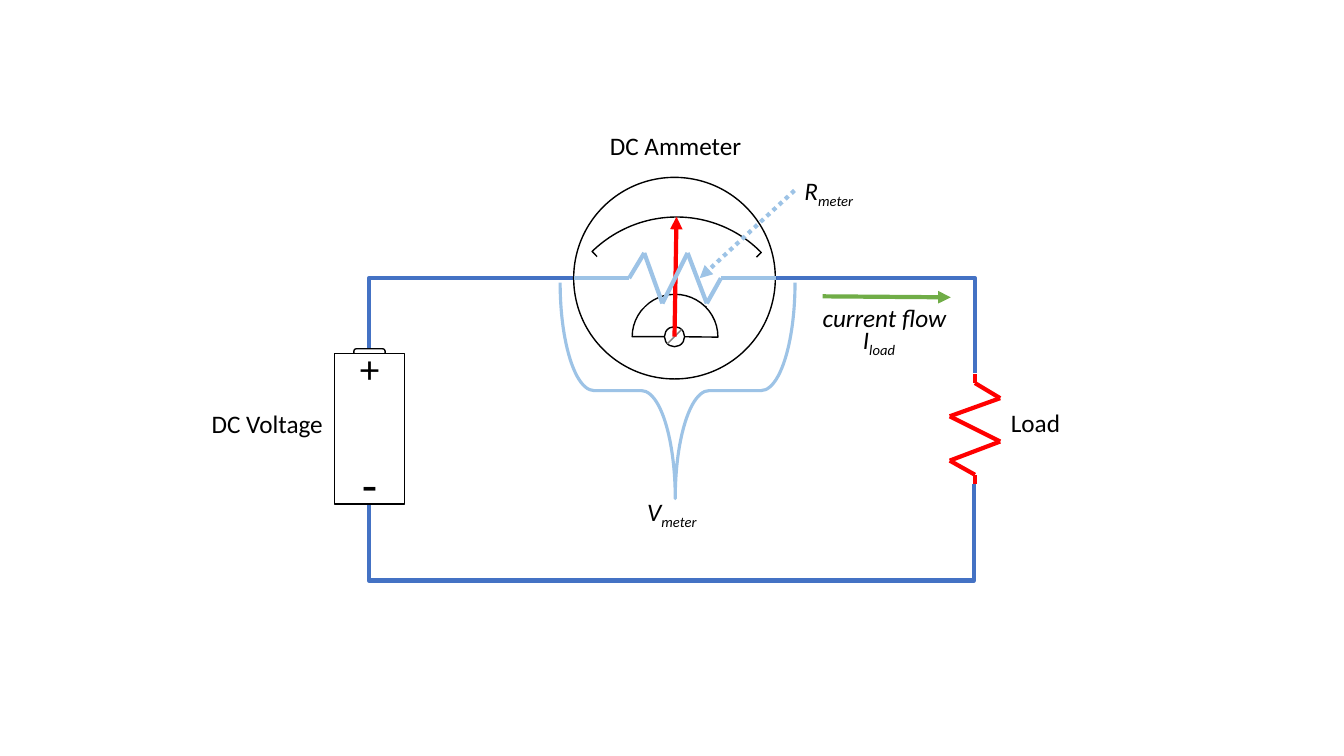
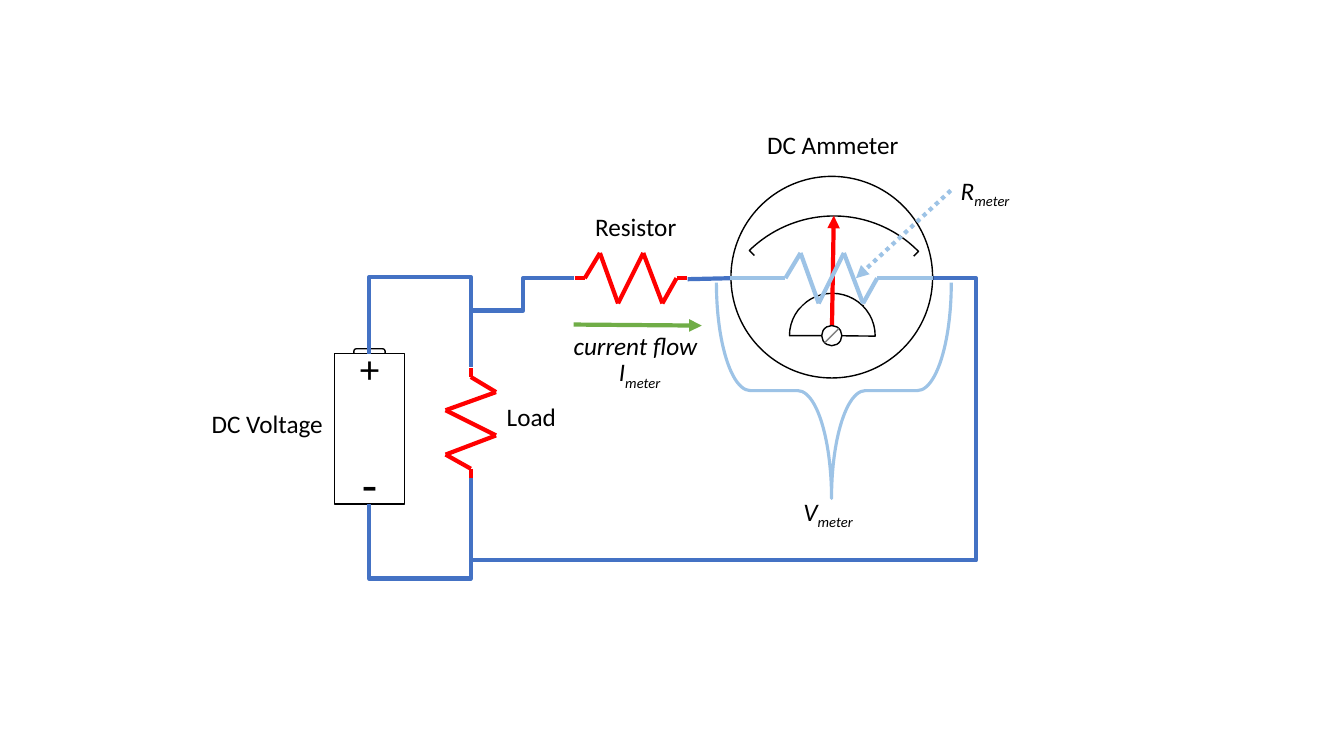
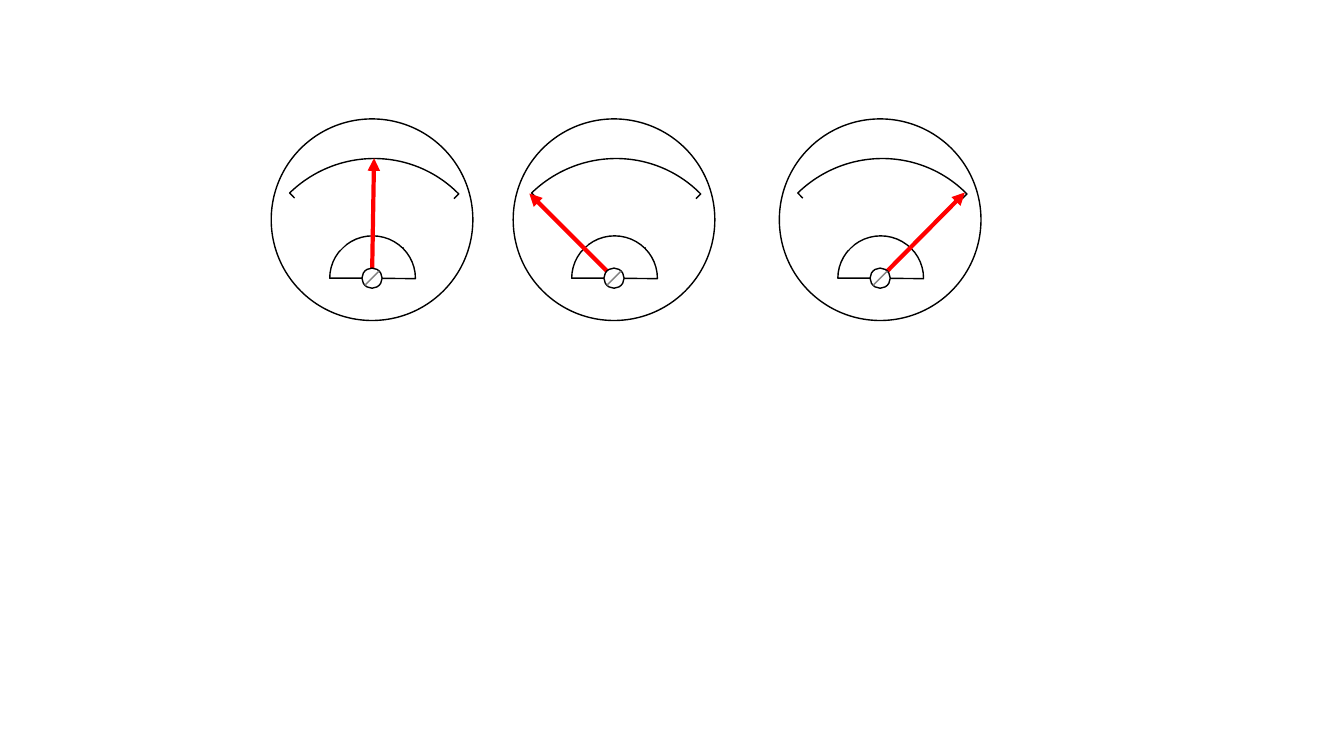
"""Draws three slides of a DC ammeter: in a load circuit, as a voltmeter, and as bare dials."""
import pptx
import pptx.dml.color
import pptx.enum.dml
import pptx.enum.shapes
import pptx.enum.text
import pptx.oxml
import pptx.oxml.ns
import pptx.util

RGBColor = pptx.dml.color.RGBColor
BLACK = RGBColor(0x00, 0x00, 0x00)
WHITE = RGBColor(0xFF, 0xFF, 0xFF)
GRAY = RGBColor(0x80, 0x80, 0x80)
RED = RGBColor(0xFF, 0x00, 0x00)
BLUE = RGBColor(0x44, 0x72, 0xC4)
SKY = RGBColor(0x9D, 0xC3, 0xE6)
GREEN = RGBColor(0x70, 0xAD, 0x47)

FONT = "Calibri"
TEXT_SIZE = 18
TEXT_ROW = 0.4
COLUMNS, ROWS = 13.33, 7.5
SHAPE = pptx.enum.shapes.MSO_SHAPE
CONNECTOR = pptx.enum.shapes.MSO_CONNECTOR
ALIGN = pptx.enum.text.PP_ALIGN
DOTTED = pptx.enum.dml.MSO_LINE.ROUND_DOT


def grid(*cells):
    """Turns columns and rows, each one inch, into lengths."""
    return [pptx.util.Inches(cell) for cell in cells]


def add_element(parent, tag, **attributes):
    """Appends a drawing element to its parent and returns it."""
    element = pptx.oxml.parse_xml(f"<{tag} {pptx.oxml.ns.nsdecls('a')}/>")
    for name, value in attributes.items():
        element.set(name, str(value))
    parent.append(element)
    return element


def style_connector(connector, color, width, dash=None, arrow=False):
    """Colours a connector, removes its shadow and adds the arrowhead."""
    connector.line.color.rgb = color
    connector.line.width = pptx.util.Pt(width)
    if dash:
        connector.line.dash_style = dash
    if arrow:
        add_element(connector.line._get_or_add_ln(), "a:tailEnd", type="triangle")
    add_element(connector._element.spPr, "a:effectLst")


def add_line(page, start, end, color, width=3, dash=None, arrow=False):
    """Adds a straight line between two points."""
    connector = page.shapes.add_connector(CONNECTOR.STRAIGHT, *grid(*start, *end))
    style_connector(connector, color, width, dash, arrow)


def add_wire(page, *points):
    """Adds a bent blue wire through three or four points, the legs at right angles."""
    (x0, y0), (x1, y1), (x2, y2) = points[:3]
    end_x, end_y = points[-1]
    upright = x0 == x1
    begin, end = (x0, y0), (end_x, end_y)
    if upright:
        middle_x, middle_y = (x0 + end_x) / 2, (y0 + end_y) / 2
        half_x, half_y = (end_y - y0) / 2, (x0 - end_x) / 2
        begin = middle_x - half_x, middle_y - half_y
        end = middle_x + half_x, middle_y + half_y
    connector = page.shapes.add_connector(CONNECTOR.ELBOW, *grid(*begin, *end))
    properties = connector._element.spPr
    geometry = properties.find(pptx.oxml.ns.qn("a:prstGeom"))
    if upright:
        properties.find(pptx.oxml.ns.qn("a:xfrm")).set("rot", str(90 * 60000))
    if len(points) == 3:
        geometry.set("prst", "bentConnector2")
    else:
        bend = (y1 - y0) / (end_y - y0) if upright else (x1 - x0) / (end_x - x0)
        guides = geometry.find(pptx.oxml.ns.qn("a:avLst"))
        add_element(guides, "a:gd", name="adj1", fmla=f"val {round(bend * 100000)}")
    style_connector(connector, BLUE, 3)


def add_outline(page, kind, box, fill=WHITE, color=BLACK, width=1, rotation=0, bends=()):
    """Adds a preset shape with an outline and, unless fill is None, a plain fill."""
    shape = page.shapes.add_shape(kind, *grid(*box))
    shape.shadow.inherit = False
    if fill is None:
        shape.fill.background()
    else:
        shape.fill.solid()
        shape.fill.fore_color.rgb = fill
    shape.line.color.rgb = color
    shape.line.width = pptx.util.Pt(width)
    shape.rotation = rotation
    for index, bend in enumerate(bends):
        shape.adjustments[index] = bend
    return shape


def add_span(para, words, size=TEXT_SIZE, italic=False):
    """Adds one run of black text to a paragraph and returns it."""
    span = para.add_run()
    span.text = words
    span.font.name = FONT
    span.font.size = pptx.util.Pt(size)
    span.font.italic = italic
    span.font.color.rgb = BLACK
    return span


def add_label(page, left, top, width, words, subscript="", italic=False):
    """Adds a one-line label, centred when upright, with an optional subscript."""
    box = page.shapes.add_textbox(*grid(left, top, width, TEXT_ROW))
    frame = box.text_frame
    frame.word_wrap = False
    frame.auto_size = pptx.enum.text.MSO_AUTO_SIZE.SHAPE_TO_FIT_TEXT
    para = frame.paragraphs[0]
    para.alignment = ALIGN.LEFT if italic else ALIGN.CENTER
    add_span(para, words, italic=italic)
    if subscript:
        span = add_span(para, subscript, italic=italic)
        span.font._element.set("baseline", "-25000")


def add_battery(page, left, top):
    """Draws the battery with its poles and its label on the left."""
    add_outline(page, SHAPE.ROUNDED_RECTANGLE, (left + 0.19, top - 0.05, 0.31, 0.15))
    cell = add_outline(page, SHAPE.RECTANGLE, (left, top, 0.69, 1.49))
    frame = cell.text_frame
    frame.vertical_anchor = pptx.enum.text.MSO_ANCHOR.MIDDLE
    plus, minus = frame.paragraphs[0], frame.add_paragraph()
    for para, sign, size in ((plus, "+", 28), (minus, "-", 36)):
        para.alignment = ALIGN.CENTER
        add_span(para, sign, size)
    minus.space_before = pptx.util.Pt(44)
    add_label(page, left - 1.33, top + 0.49, 1.32, "DC Voltage")


def add_zigzag(page, left, top, color, lead=0.1, upright=False):
    """Draws a resistor from its first terminal, running right or down."""
    swing = 0.25
    steps = [(0, 0), (lead, 0), (lead + 0.15, swing), (lead + 0.33, -swing),
             (lead + 0.58, swing), (lead + 0.77, -swing), (lead + 0.91, 0),
             (2 * lead + 0.91, 0)]
    points = [(left + across, top + along) if upright else (left + along, top - across)
              for along, across in steps]
    for start, end in zip(points, points[1:]):
        add_line(page, start, end, color)


def add_load(page, left, top):
    """Draws the upright load resistor and its label."""
    add_zigzag(page, left, top, RED, lead=0.09, upright=True)
    add_label(page, left + 0.25, top + 0.28, 0.7, "Load")


def add_current(page, left, top):
    """Draws the green arrow of the current with its caption below."""
    add_line(page, (left, top), (left + 1.27, top + 0.01), GREEN, arrow=True)
    add_label(page, left - 0.1, top + 0.01, 1.46, "current flow", italic=True)


def add_dial(page, left, top, tip=(1.02, 0.39), needle_on_top=False):
    """Draws a dial two columns wide whose needle points at the tip."""
    def needle():
        """Draws the red needle from the hub."""
        add_line(page, (left + 1, top + 1.58), (left + tip[0], top + tip[1]), RED, arrow=True)

    add_outline(page, SHAPE.PIE, (left - 0.19, top + 0.4, 2.39, 2.36),
                rotation=135, bends=(54.47, 108.38))
    add_outline(page, SHAPE.OVAL, (left, top, 2, 2), fill=None)
    add_outline(page, SHAPE.PIE, (left + 0.58, top + 1.16, 0.85, 0.84),
                rotation=180, bends=(0, 108.38))
    for inner, outer in ((1.31, 1.81), (0.71, 0.23)):
        add_line(page, (left + inner, top + 1.27), (left + outer, top + 0.79), WHITE, 6)
    if not needle_on_top:
        needle()
    add_outline(page, SHAPE.OVAL, (left + 0.9, top + 1.48, 0.2, 0.2))
    add_line(page, (left + 0.93, top + 1.65), (left + 1.07, top + 1.51), GRAY, 1)
    if needle_on_top:
        needle()


def add_ammeter(page, left, top, needle_on_top=False):
    """Draws a dial with its title above."""
    add_dial(page, left, top, needle_on_top=needle_on_top)
    add_label(page, left + 0.25, top - 0.52, 1.52, "DC Ammeter")


def add_meter_resistance(page, left, top):
    """Draws the inner resistance of the meter, with its voltage brace below."""
    add_zigzag(page, left, top, SKY, lead=0.55)
    add_label(page, left + 2.19, top - 1.07, 0.74, "R", "meter", italic=True)
    add_line(page, (left + 2.19, top - 0.87), (left + 1.25, top), SKY, dash=DOTTED, arrow=True)
    add_outline(page, SHAPE.RIGHT_BRACE, (left - 0.04, top - 0.05, 2.14, 2.33), fill=None,
                color=SKY, width=2.25, rotation=90, bends=(0.157, 0.51))
    add_label(page, left + 0.63, top + 2.11, 0.74, "V", "meter", italic=True)


def draw_load_circuit(page):
    """Draws the ammeter in series with the load."""
    add_wire(page, (7.7, 2.76), (9.67, 2.76), (9.67, 3.7))
    add_wire(page, (3.66, 5), (3.66, 5.76), (9.66, 5.76), (9.66, 4.8))
    add_wire(page, (5.7, 2.76), (3.66, 2.76), (3.66, 3.51))
    add_battery(page, 3.32, 3.51)
    add_load(page, 9.67, 3.71)
    add_current(page, 8.16, 2.94)
    add_ammeter(page, 5.69, 1.76, needle_on_top=True)
    add_label(page, 8.46, 3.17, 0.56, "I", "load", italic=True)
    add_meter_resistance(page, 5.69, 2.76)


def draw_voltmeter_circuit(page):
    """Draws the ammeter and a resistor in parallel with the load."""
    add_line(page, (6.82, 2.77), (7.25, 2.76), BLUE)
    add_wire(page, (4.68, 5.56), (9.68, 5.56), (9.68, 2.76), (9.25, 2.76))
    add_wire(page, (5.69, 2.76), (5.19, 2.76), (5.19, 3.08), (4.68, 3.08))
    add_battery(page, 3.32, 3.51)
    add_load(page, 4.67, 3.65)
    add_current(page, 5.69, 3.22)
    add_ammeter(page, 7.25, 1.75)
    add_zigzag(page, 5.7, 2.76, RED)
    add_label(page, 5.8, 2.05, 1.01, "Resistor")
    add_wire(page, (3.66, 3.51), (3.66, 2.75), (4.67, 2.75), (4.67, 3.64))
    add_wire(page, (3.66, 5), (3.66, 5.74), (4.67, 5.74), (4.67, 4.74))
    add_meter_resistance(page, 7.24, 2.76)
    add_label(page, 6.04, 3.49, 0.67, "I", "meter", italic=True)


def draw_dials(page):
    """Draws three dials with the needle in the middle, left and right."""
    for left, tip in ((2.69, (1.02, 0.39)), (5.09, (0.16, 0.74)), (7.73, (1.84, 0.73))):
        add_dial(page, left, 1.18, tip)


def main():
    """Builds the deck and saves it."""
    deck = pptx.Presentation()
    deck.slide_width, deck.slide_height = grid(COLUMNS, ROWS)
    for draw in (draw_load_circuit, draw_voltmeter_circuit, draw_dials):
        draw(deck.slides.add_slide(deck.slide_layouts[6]))
    deck.save("out.pptx")


main()
